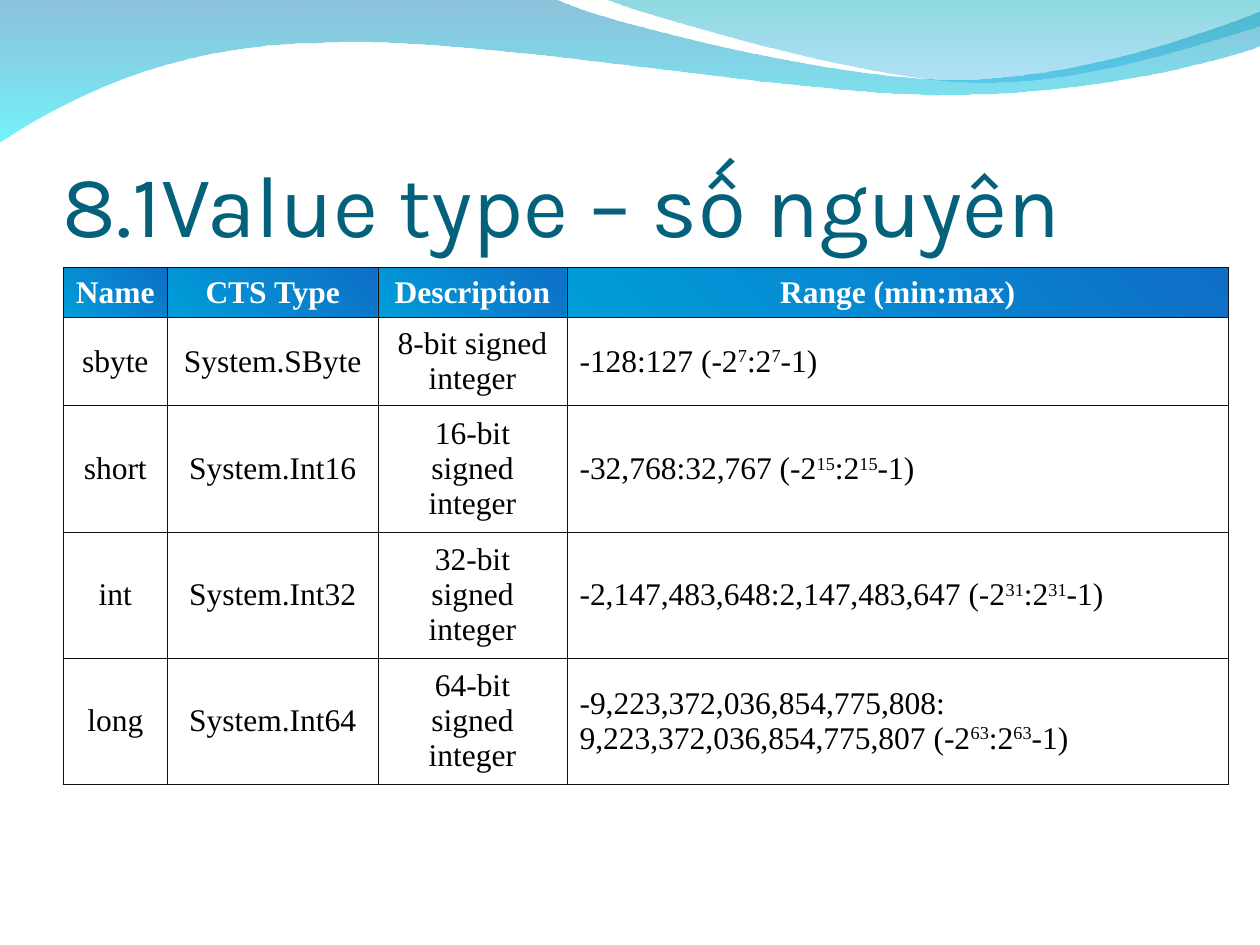
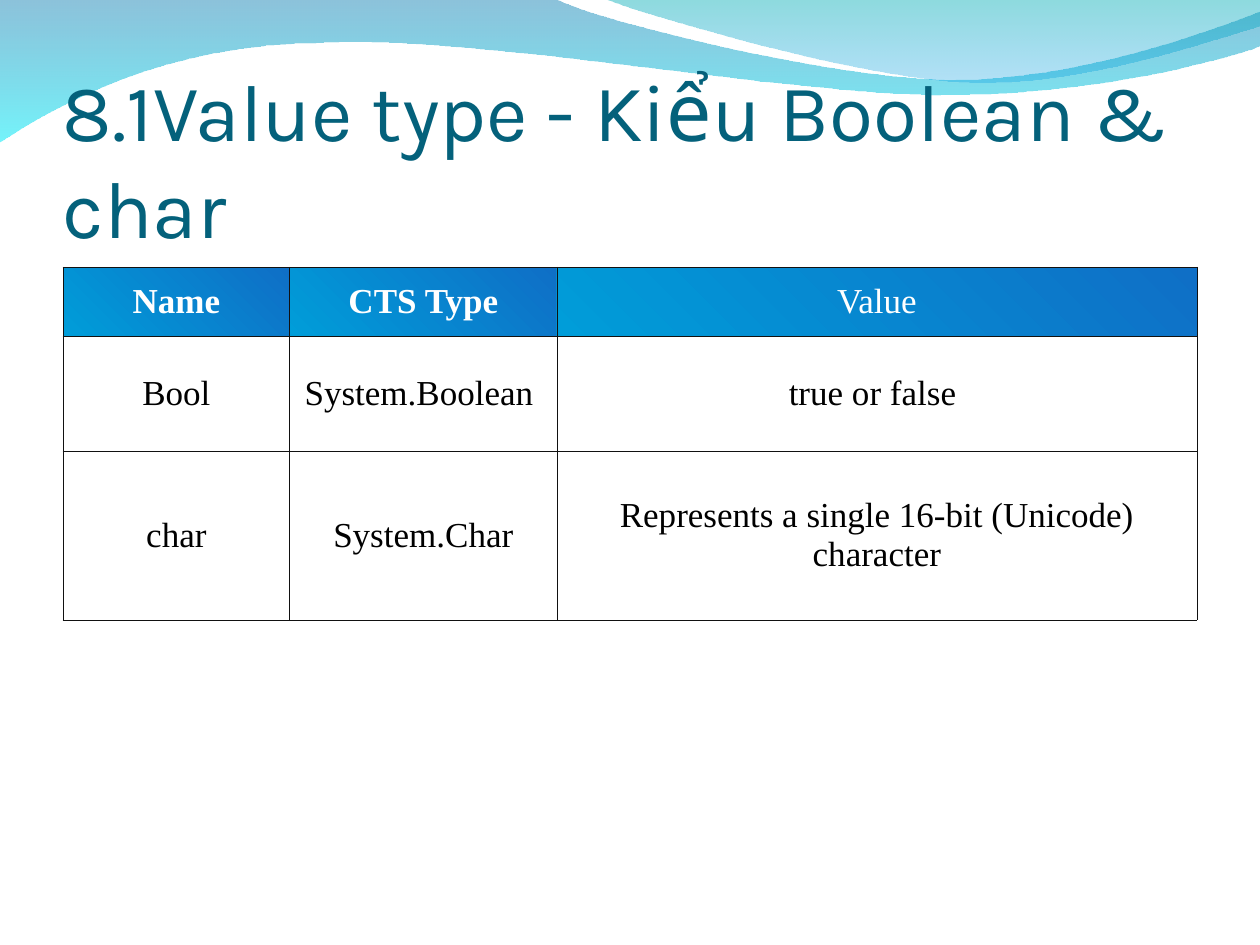
"""Build two slides with tables of C# value types under a shared wave header."""
from lxml import etree
from pptx import Presentation, util as u
from pptx.dml.color import RGBColor
from pptx.enum import text
from pptx.oxml.ns import qn

COLORS = {
    "title": "04617B", "header_text": "FFFFFF", "body_text": "000000",
    "border": "111111", "header_dark": "0F6FC6", "header_light": "009DD9",
    "wave_top": "0079AF", "wave_bottom": "00EBF8",
    "crest_top": "00ADB6", "crest_bottom": "009BE5",
}

WAVES = [
    {"start": (0, -0.01),
     "parts": [[(4.4, -0.01)],
               [(4.76, 0.17), (6.64, 0.63), (7.58, 0.63)],
               [(8.53, 0.63), (9.58, 0.26), (10, 0.09)],
               [(10.01, 0.36)],
               [(9.83, 0.44), (8.7, 0.76), (7.46, 0.75)],
               [(6.22, 0.75), (3.82, 0.28), (2.57, 0.34)],
               [(1.29, 0.35), (0.46, 0.83), (-0.01, 1.13)],
               [(0, -0.01)]],
     "stops": [("wave_top", 45), ("wave_bottom", 55)]},
    {"start": (4.79, -0.01),
     "parts": [[(5.09, 0.11), (6.82, 0.62), (7.69, 0.65)],
               [(8.56, 0.69), (9.61, 0.32), (10, 0.21)],
               [(10, 0)],
               [(4.79, -0.01)]],
     "stops": [("crest_top", 45), ("crest_bottom", 30)]},
]

SLIDES = [
    {"title": "8.1Value type – số nguyên", "title_size": 50, "size": 18,
     "cols": [0.83, 1.67, 1.5, 5.25], "rows": [0.4, 0.7, 1, 1, 1],
     "left_cols": [3], "plain_heads": [],
     "cells": [
         ["Name", "CTS Type", "Description", "Range (min:max)"],
         ["sbyte", "System.SByte ", "8-bit signed integer",
          "-128:127 (-2^7^:2^7^-1)"],
         ["short", "System.Int16", "16-bit signed integer",
          "-32,768:32,767 (-2^15^:2^15^-1)"],
         ["int", "System.Int32", "32-bit signed integer",
          "-2,147,483,648:2,147,483,647 (-2^31^:2^31^-1)"],
         ["long", "System.Int64", "64-bit signed integer",
          "-9,223,372,036,854,775,808: 9,223,372,036,854,775,807 (-2^63^:2^63^-1)"],
     ]},
    {"title": "8.1Value type - Kiểu Boolean & char", "title_size": 46, "size": 20,
     "cols": [1.8, 2.12, 5.08], "rows": [0.55, 0.91, 1.34],
     "left_cols": [], "plain_heads": [2],
     "cells": [
         ["Name", "CTS Type", "Value"],
         ["Bool", "System.Boolean ", "true or false "],
         ["char", "System.Char", "Represents a single 16-bit (Unicode) character"],
     ]},
]


def add_run(p, content, font, size, color, bold=False):
    r = p.add_run()
    r.text = content
    r.font.name, r.font.size, r.font.bold = font, u.Pt(size), bold
    r.font.color.rgb = RGBColor.from_string(COLORS[color])
    return r


def set_gradient(fill, angle, stops):
    fill.gradient()
    fill.gradient_angle = angle
    for stop, (color, opacity) in zip(fill.gradient_stops, stops):
        stop.color.rgb = RGBColor.from_string(COLORS[color])
        if opacity < 100:
            clr = stop._gs.find(qn("a:srgbClr"))
            etree.SubElement(clr, qn("a:alpha"), val=str(opacity * 1000))


prs = Presentation()
prs.slide_width, prs.slide_height = u.Inches(10), u.Inches(7.5)

for page in SLIDES:
    s = prs.slides.add_slide(prs.slide_layouts[6])

    for wave in WAVES:
        points = [wave["start"]] + [pt for part in wave["parts"] for pt in part]
        outline = [(u.Inches(x), u.Inches(y)) for x, y in points]
        fb = s.shapes.build_freeform(*outline[0])
        fb.add_line_segments(outline[1:], close=True)
        sp = fb.convert_to_shape()
        segments = iter(list(sp._element.iter(qn("a:lnTo"))))
        for part in wave["parts"]:
            group = [next(segments) for _ in part]
            if len(group) == 3:
                curve = etree.Element(qn("a:cubicBezTo"))
                group[0].addprevious(curve)
                for segment in group:
                    curve.append(segment[0])
                    segment.getparent().remove(segment)
        sp.shadow.inherit = False
        sp.line.fill.background()
        set_gradient(sp.fill, 270, wave["stops"])

    sp = s.shapes.add_textbox(u.Inches(0.5), u.Inches(0.77), u.Inches(9), u.Inches(1.25))
    tf = sp.text_frame
    tf.word_wrap = True
    tf.vertical_anchor = text.MSO_ANCHOR.BOTTOM
    tf.margin_left = tf.margin_right = tf.margin_bottom = 0
    tf.margin_top = u.Inches(0.05)
    add_run(tf.paragraphs[0], page["title"], "Karla", page["title_size"], "title")

    cols, rows = page["cols"], page["rows"]
    tbl = s.shapes.add_table(len(rows), len(cols), u.Inches(0.5), u.Inches(2.12),
                             u.Inches(sum(cols)), u.Inches(sum(rows))).table
    tbl.horz_banding = tbl.first_row = False
    for col, width in zip(tbl.columns, cols):
        col.width = u.Inches(width)
    for row, height in zip(tbl.rows, rows):
        row.height = u.Inches(height)

    for i, values in enumerate(page["cells"]):
        for j, value in enumerate(values):
            cell = tbl.cell(i, j)
            cell.vertical_anchor = text.MSO_ANCHOR.MIDDLE
            tcPr = cell._tc.get_or_add_tcPr()
            for side in ("lnL", "lnR", "lnT", "lnB"):
                ln = etree.SubElement(tcPr, qn(f"a:{side}"), w=str(u.Pt(0.45)))
                line_fill = etree.SubElement(ln, qn("a:solidFill"))
                etree.SubElement(line_fill, qn("a:srgbClr"), val=COLORS["border"])
            head = i == 0
            if head:
                set_gradient(cell.fill, 225, [("header_dark", 100), ("header_light", 100)])
            else:
                cell.fill.background()
            p = cell.text_frame.paragraphs[0]
            left = not head and j in page["left_cols"]
            p.alignment = text.PP_ALIGN.LEFT if left else text.PP_ALIGN.CENTER
            for k, piece in enumerate(value.split("^")):
                r = add_run(p, piece, "Times New Roman", page["size"],
                            "header_text" if head else "body_text",
                            head and j not in page["plain_heads"])
                if k % 2:
                    r._r.get_or_add_rPr().set("baseline", "30000")

prs.save("out.pptx")
